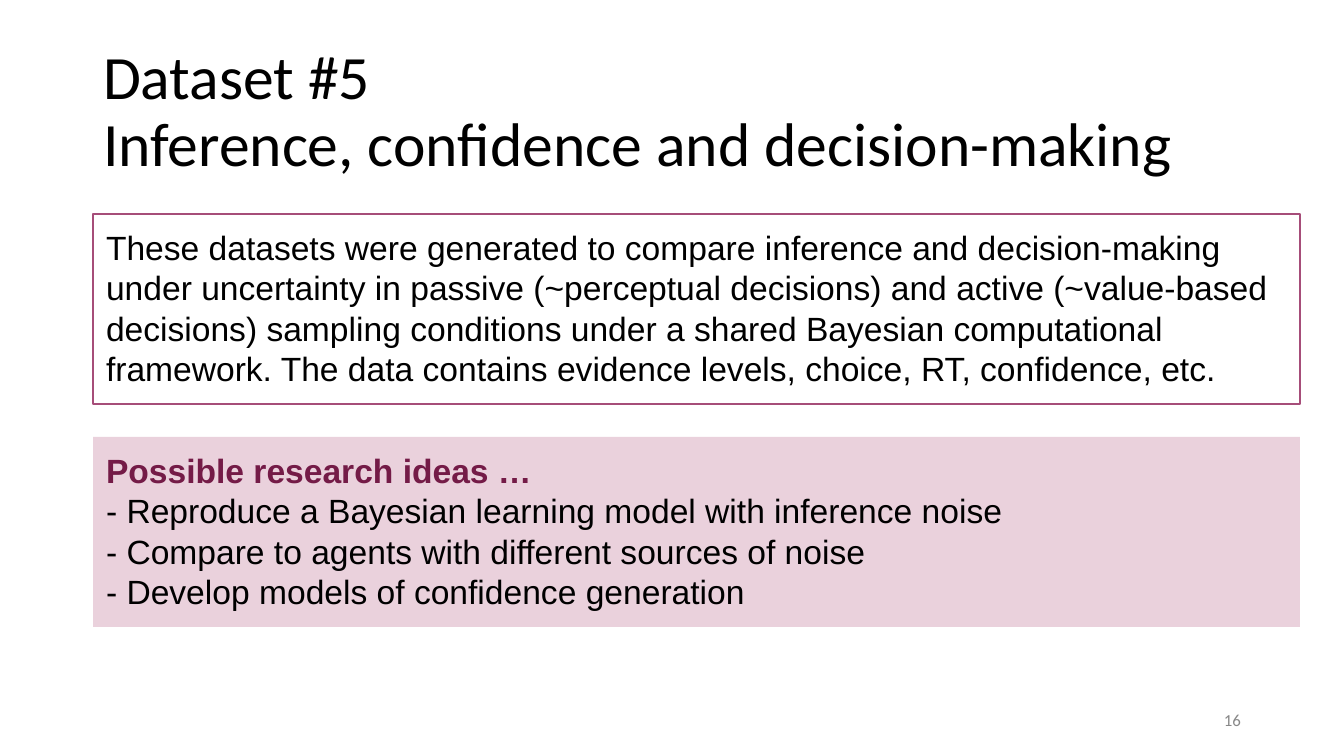
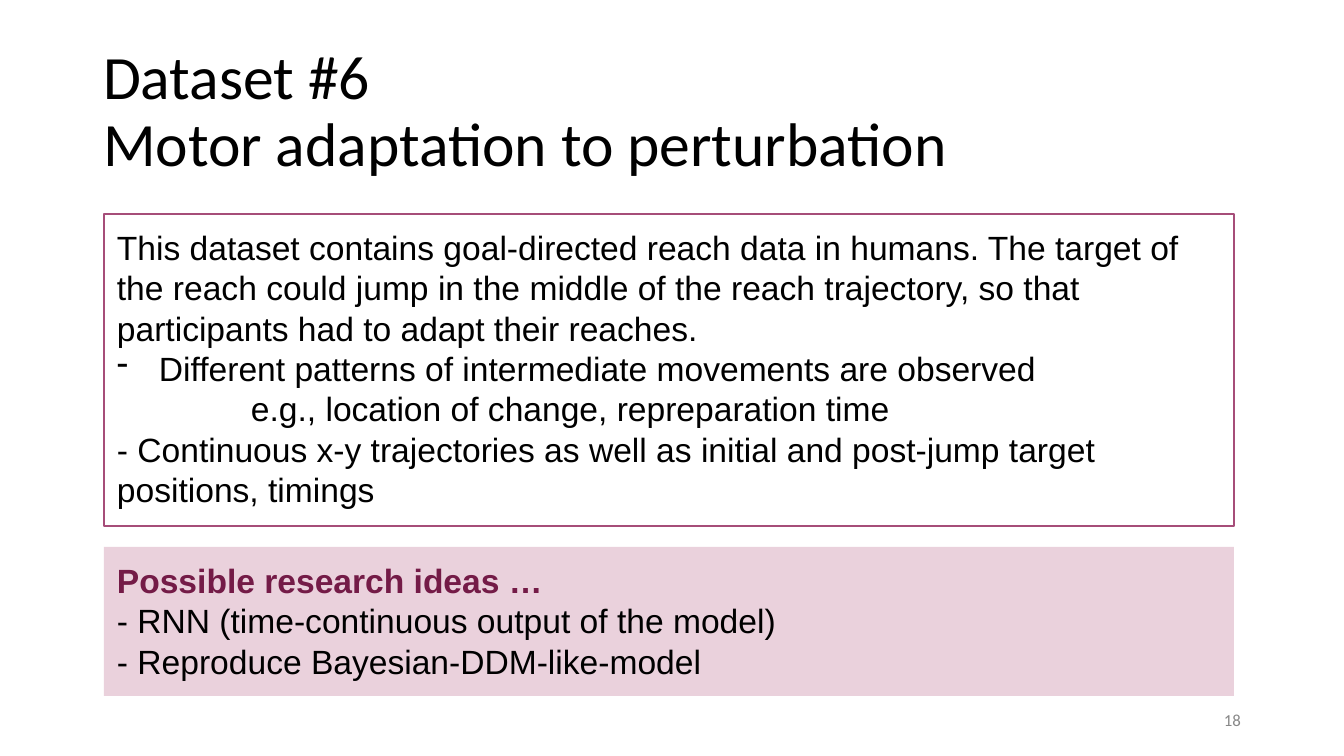
from lxml import etree
from pptx import Presentation
from pptx.dml.color import RGBColor
from pptx.enum.shapes import MSO_SHAPE
from pptx.enum.text import MSO_ANCHOR, MSO_AUTO_SIZE, PP_ALIGN
from pptx.oxml.ns import qn
from pptx.util import Pt

SCALE = 914400 / 134.4
BLACK = RGBColor(0x00, 0x00, 0x00)
GREY = RGBColor(0x88, 0x88, 0x88)
PLUM = RGBColor(0x74, 0x1B, 0x47)
MAUVE = RGBColor(0xA6, 0x4D, 0x79)
PINK = RGBColor(0xEA, 0xD1, 0xDC)
RECTANGLE = MSO_SHAPE.RECTANGLE
TOP, MIDDLE = MSO_ANCHOR.TOP, MSO_ANCHOR.MIDDLE
LEFT, RIGHT = PP_ALIGN.LEFT, PP_ALIGN.RIGHT
FIT_SHAPE = MSO_AUTO_SIZE.SHAPE_TO_FIT_TEXT
BODY_TOP = 214


def px(length):
    return round(length * SCALE)


def set_margins(frame, across, down, anchor):
    frame.word_wrap = True
    frame.vertical_anchor = anchor
    frame.margin_left = frame.margin_right = px(across)
    frame.margin_top = frame.margin_bottom = px(down)


def write(frame, text, font="Arial", size=18, color=BLACK, bold=False,
          align=LEFT, spacing=1.0, indent=0, bullet=None):
    first = frame.paragraphs[0]
    paragraph = frame.add_paragraph() if first.runs else first
    paragraph.alignment = align
    paragraph.line_spacing = spacing
    run = paragraph.add_run()
    run.text = text
    run.font.name = font
    run.font.size = Pt(size)
    run.font.bold = bold
    run.font.color.rgb = color
    if indent:
        properties = paragraph._p.get_or_add_pPr()
        properties.set("marL", str(px(indent)))
        properties.set("indent", str(px(-indent) if bullet else 0))
        if bullet:
            etree.SubElement(properties, qn("a:buChar")).set("char", bullet)


class Deck:
    """Holds the shared style and the slide being built."""

    def __init__(self):
        self.presentation = Presentation()
        self.presentation.slide_width = px(1344)
        self.presentation.slide_height = px(756)
        self.slide = None

    def start_slide(self, title_lines, number):
        self.slide = self.presentation.slides.add_slide(
            self.presentation.slide_layouts[6])
        title = self.text_box(93, 40, 1158, 146)
        for line in title_lines:
            write(title, line, font="Calibri", size=33, spacing=0.9)
        write(self.text_box(949, 700, 302, 40), str(number),
              font="Calibri", size=9, color=GREY, align=RIGHT)

    def text_box(self, left, top, width, height):
        frame = self.slide.shapes.add_textbox(
            px(left), px(top), px(width), px(height)).text_frame
        set_margins(frame, 10, 5, MIDDLE)
        return frame

    def panel(self, left, top, width, height, fill=None, line=None):
        box = self.slide.shapes.add_shape(
            RECTANGLE, px(left), px(top), px(width), px(height))
        box.shadow.inherit = False
        if fill is None:
            box.fill.background()
        else:
            box.fill.solid()
            box.fill.fore_color.rgb = fill
        if line is None:
            box.line.fill.background()
        else:
            box.line.color.rgb = line
            box.line.width = Pt(0.75)
        set_margins(box.text_frame, 13, 13, TOP)
        box.text_frame.auto_size = FIT_SHAPE
        return box.text_frame

    def description(self, left, width, height, paragraphs):
        frame = self.panel(left, BODY_TOP, width, height, line=MAUVE)
        for text, layout in paragraphs:
            write(frame, text, **layout)

    def ideas(self, left, top, width, height, ideas):
        frame = self.panel(left, top, width, height, fill=PINK)
        write(frame, "Possible research ideas …", color=PLUM, bold=True)
        for idea in ideas:
            write(frame, f"- {idea}")

    def save(self):
        self.presentation.save("out.pptx")


deck = Deck()

deck.start_slide(
    ["Dataset #5", "Inference, confidence and decision-making"], 16)
deck.description(93, 1207, 190, [
    ("These datasets were generated to compare inference and decision-making "
     "under uncertainty in passive (~perceptual decisions) and active "
     "(~value-based decisions) sampling conditions under a shared Bayesian "
     "computational framework. The data contains evidence levels, choice, RT, "
     "confidence, etc.", {}),
])
deck.ideas(93, 437, 1207, 190, [
    "Reproduce a Bayesian learning model with inference noise",
    "Compare to agents with different sources of noise",
    "Develop models of confidence generation",
])

deck.start_slide(["Dataset #6", "Motor adaptation to perturbation"], 18)
deck.description(104, 1130, 312, [
    ("This dataset contains goal-directed reach data in humans. The target of "
     "the reach could jump in the middle of the reach trajectory, so that "
     "participants had to adapt their reaches.", {}),
    ("Different patterns of intermediate movements are observed",
     {"indent": 42, "bullet": "-"}),
    ("e.g., location of change, repreparation time", {"indent": 134}),
    ("- Continuous x-y trajectories as well as initial and post-jump target "
     "positions, timings", {}),
])
deck.ideas(104, 547, 1130, 149, [
    "RNN (time-continuous output of the model)",
    "Reproduce Bayesian-DDM-like-model",
])

deck.save()
